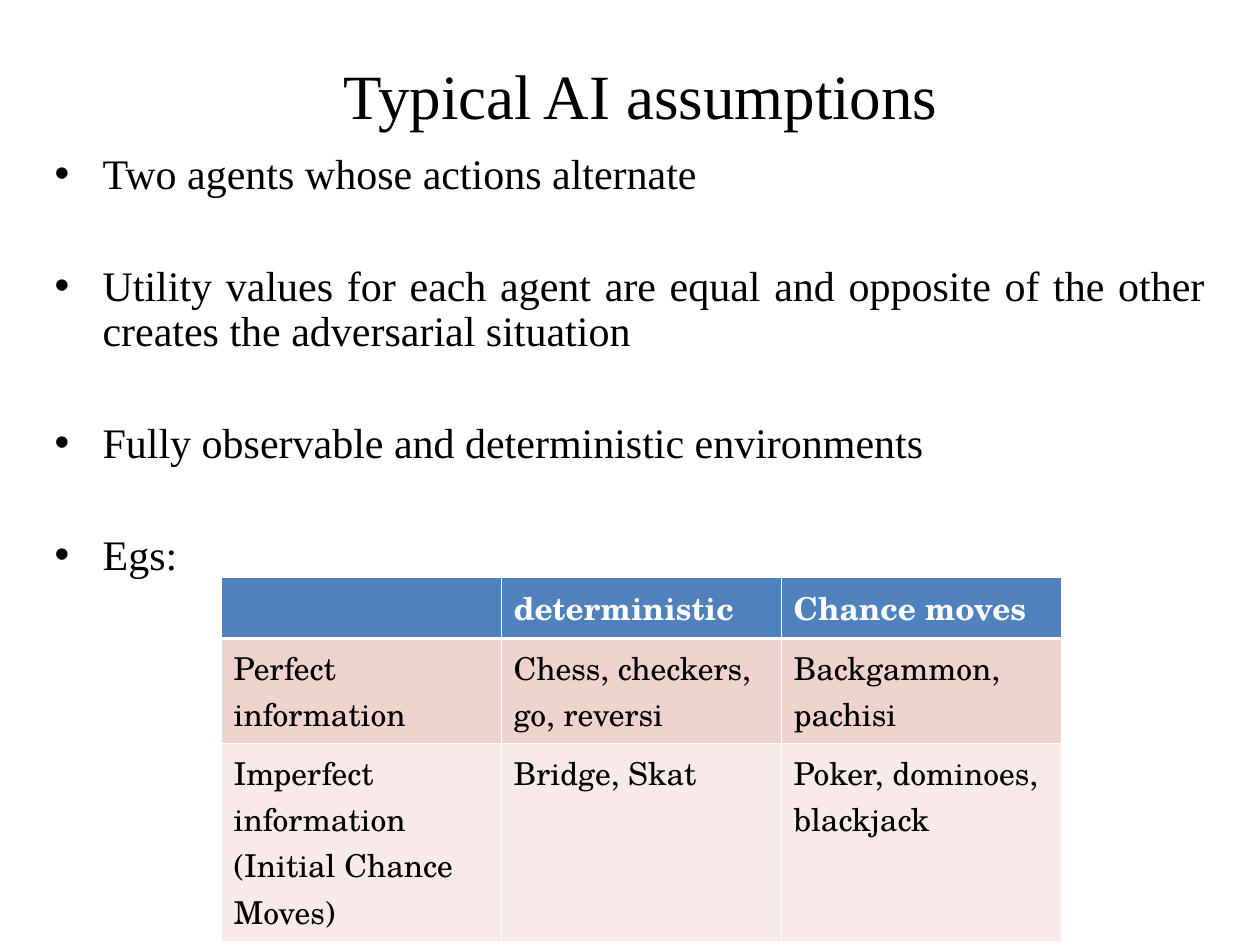
from lxml.etree import SubElement
from pptx import Presentation
from pptx.dml.color import RGBColor
from pptx.enum.text import MSO_ANCHOR, MSO_AUTO_SIZE, PP_ALIGN
from pptx.oxml.ns import qn
from pptx.util import Emu, Pt

EMU_PER_PX = 914400 / 126
SERIF = "Times New Roman"
TABLE_FONT = "TeX Gyre Schola"
BLACK, WHITE = "000000", "FFFFFF"
ROW_FILLS = ["4F81BD", "EED3CF", "F7EAE9"]
ROW_HEIGHTS = [50, 88, 164]
COLUMN_WIDTH = 280
THIN, THICK = 0.45, 1.47

POINTS = [
    "Two agents whose actions alternate",
    "Utility values for each agent are equal and opposite of the other "
    "creates the adversarial situation",
    "Fully observable and deterministic environments",
    "Egs:",
]
GAMES = [
    ["", "deterministic", "Chance moves"],
    ["Perfect information", "Chess, checkers, go, reversi", "Backgammon, pachisi"],
    ["Imperfect information\v(Initial Chance Moves)", "Bridge, Skat",
     "Poker, dominoes, blackjack"],
]


def px(value):
    return Emu(round(value * EMU_PER_PX))


def color(value):
    return RGBColor.from_string(value)


def place(shape, left, top, width, height):
    shape.left, shape.top = px(left), px(top)
    shape.width, shape.height = px(width), px(height)


def format_runs(paragraph, font_name, size, font_color, bold=False):
    for run in paragraph.runs:
        font = run.font
        font.name, font.size, font.bold = font_name, Pt(size), bold
        font.color.rgb = color(font_color)


def add_bullet(paragraph, indent):
    properties = paragraph._p.get_or_add_pPr()
    properties.set("marL", str(px(indent)))
    properties.set("indent", str(-px(indent)))
    bullet_color = SubElement(properties, qn("a:buClr"))
    SubElement(bullet_color, qn("a:srgbClr"), val=BLACK)
    SubElement(properties, qn("a:buChar"), char="•")


def fill_title(title, text):
    place(title, 53, 42, 1176, 105)
    frame = title.text_frame
    frame.text = text
    frame.vertical_anchor = MSO_ANCHOR.MIDDLE
    frame.auto_size = MSO_AUTO_SIZE.NONE
    paragraph = frame.paragraphs[0]
    paragraph.alignment = PP_ALIGN.CENTER
    format_runs(paragraph, SERIF, 36, BLACK)


def fill_body(body, points):
    place(body, 42, 147, 1176, 756)
    frame = body.text_frame
    frame.text = "\n".join(points)
    frame.auto_size = MSO_AUTO_SIZE.NONE
    for index, paragraph in enumerate(frame.paragraphs):
        add_bullet(paragraph, 48)
        paragraph.alignment = PP_ALIGN.JUSTIFY
        paragraph.line_spacing = 0.9
        paragraph.space_before = Pt(38 if index else 0)
        format_runs(paragraph, SERIF, 24, BLACK)


def set_borders(cell, top, bottom):
    """Draw white cell borders; the lines must come before the fill."""
    properties = cell._tc.get_or_add_tcPr()
    widths = {"a:lnL": THIN, "a:lnR": THIN, "a:lnT": top, "a:lnB": bottom}
    for position, (tag, width) in enumerate(widths.items()):
        line = SubElement(properties, qn(tag), w=str(Pt(width)))
        fill = SubElement(line, qn("a:solidFill"))
        SubElement(fill, qn("a:srgbClr"), val=WHITE)
        properties.insert(position, line)


def fill_cell(cell, text, row):
    is_header = row == 0
    cell.text_frame.text = text
    for paragraph in cell.text_frame.paragraphs:
        format_runs(paragraph, TABLE_FONT, 18, WHITE if is_header else BLACK, is_header)
    cell.fill.solid()
    cell.fill.fore_color.rgb = color(ROW_FILLS[row])
    set_borders(cell, THICK if row == 1 else THIN, THICK if is_header else THIN)


def add_games_table(slide, rows):
    column_count = len(rows[0])
    table = slide.shapes.add_table(
        len(rows), column_count, px(221), px(577),
        px(COLUMN_WIDTH * column_count), px(sum(ROW_HEIGHTS))).table
    for column in table.columns:
        column.width = px(COLUMN_WIDTH)
    for row, texts in enumerate(rows):
        table.rows[row].height = px(ROW_HEIGHTS[row])
        for column, text in enumerate(texts):
            fill_cell(table.cell(row, column), text, row)


def main():
    presentation = Presentation()
    presentation.slide_width, presentation.slide_height = px(1260), px(945)
    slide = presentation.slides.add_slide(presentation.slide_layouts[1])
    fill_title(slide.shapes.title, "Typical AI assumptions")
    fill_body(slide.placeholders[1], POINTS)
    add_games_table(slide, GAMES)
    presentation.save("out.pptx")


if __name__ == "__main__":
    main()
